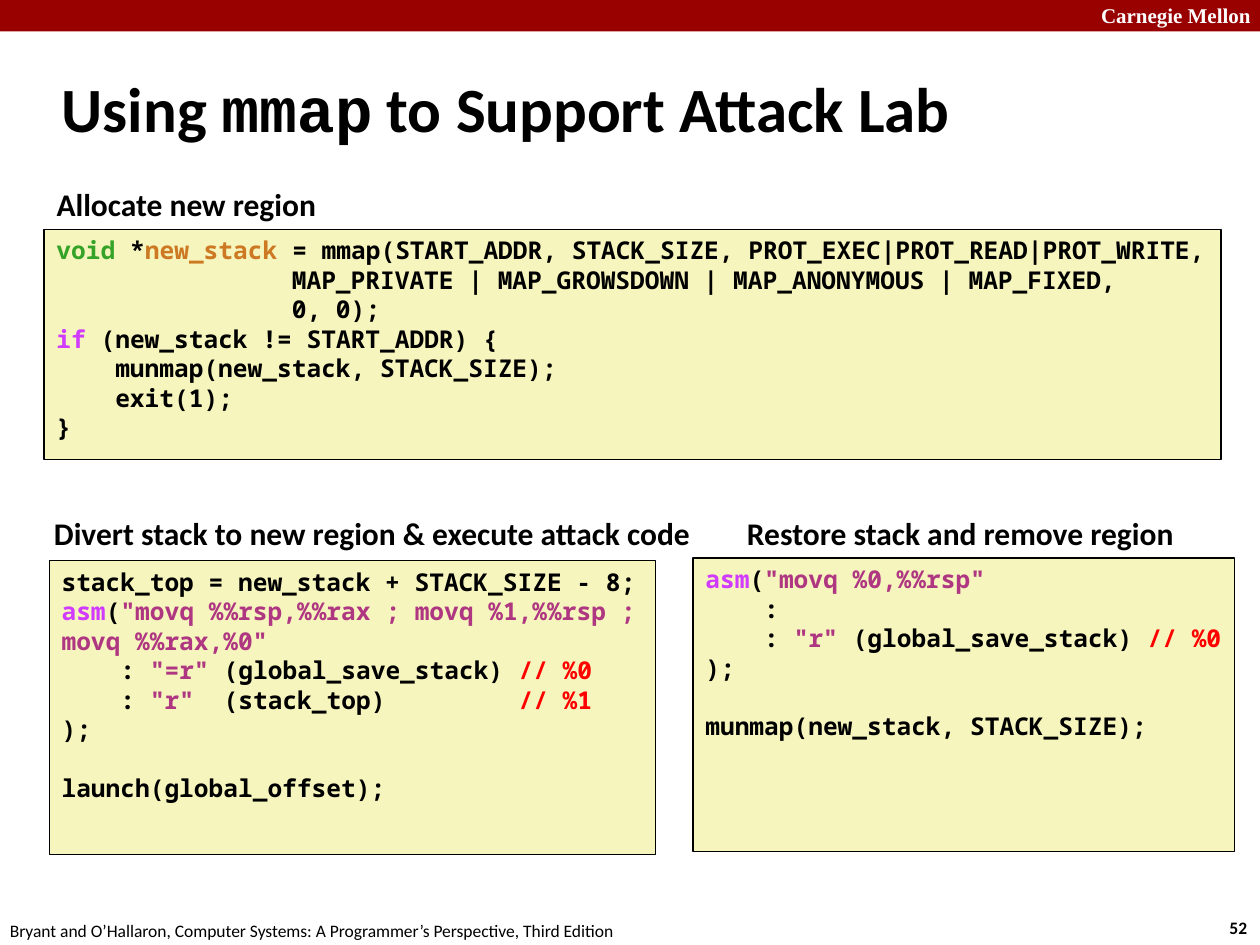
from pptx import Presentation
from pptx import util as u
from pptx.dml.color import RGBColor
from pptx.enum import shapes, text

COLORS = {
    "black": "000000", "white": "FFFFFF", "band": "990000", "panel": "F6F5BD",
    "type": "34A327", "name": "CD7923", "keyword": "D03BFF",
    "string": "AF3782", "comment": "FF0000",
}
SANS, SERIF, MONO, TITLE_MONO = "Calibri", "Times New Roman", "Noto Sans Mono", "Courier New"
COLUMNS, ROWS = 100, 75  # grid laid over the slide


def color(name):
    return RGBColor.from_string(COLORS[name])


class SlideBuilder:
    def __init__(self, deck):
        self.deck = deck
        self.page = deck.slides.add_slide(deck.slide_layouts[5])

    def area(self, left, top, width, height):
        """Turn grid columns and rows into slide lengths."""
        col, row = self.deck.slide_width / COLUMNS, self.deck.slide_height / ROWS
        return [u.Emu(round(n)) for n in (left * col, top * row, width * col, height * row)]

    def style(self, span, size, font, ink="black", bold=True):
        span.font.size, span.font.name, span.font.bold = u.Pt(size), font, bold
        span.font.color.rgb = color(ink)

    def title(self, grid, parts, size=36):
        box = self.page.shapes.title
        box.left, box.top, box.width, box.height = self.area(*grid)
        frame = box.text_frame
        frame.auto_size = text.MSO_AUTO_SIZE.NONE
        frame.vertical_anchor = text.MSO_ANCHOR.MIDDLE
        para = frame.paragraphs[0]
        para.alignment, para.line_spacing = text.PP_ALIGN.LEFT, 0.82
        for words, font in parts:
            span = para.add_run()
            span.text = words
            self.style(span, size, font)

    def label(self, grid, words, size=18, font=SANS, ink="black", bold=True):
        box = self.page.shapes.add_textbox(*self.area(*grid))
        frame = box.text_frame
        frame.word_wrap = False
        frame.text = words
        self.style(frame.paragraphs[0].runs[0], size, font, ink, bold)

    def panel(self, grid, fill, line=None):
        box = self.page.shapes.add_shape(shapes.MSO_SHAPE.RECTANGLE, *self.area(*grid))
        box.shadow.inherit = False
        box.fill.solid()
        box.fill.fore_color.rgb = color(fill)
        if line:
            box.line.color.rgb = color(line)
            box.line.width = u.Pt(0.75)
        else:
            box.line.fill.background()
        return box

    def code(self, grid, lines):
        """Each line is a list of plain strings and (string, color) pairs."""
        frame = self.panel(grid, "panel", "black").text_frame
        frame.word_wrap = True
        frame.vertical_anchor = text.MSO_ANCHOR.TOP
        for number, line in enumerate(lines):
            para = frame.add_paragraph() if number else frame.paragraphs[0]
            para.alignment = text.PP_ALIGN.LEFT
            para.font.size, para.font.name = u.Pt(14), MONO
            for part in line:
                words, ink = (part, "black") if isinstance(part, str) else part
                span = para.add_run()
                span.text = words
                self.style(span, 14, MONO, ink)


ALLOCATE = [
    [("void", "type"), " *", ("new_stack", "name"),
     " = mmap(START_ADDR, STACK_SIZE, PROT_EXEC|PROT_READ|PROT_WRITE,"],
    ["                MAP_PRIVATE | MAP_GROWSDOWN | MAP_ANONYMOUS | MAP_FIXED,"],
    ["                0, 0);"],
    [("if", "keyword"), " (new_stack != START_ADDR) {"],
    ["    munmap(new_stack, STACK_SIZE);"],
    ["    exit(1);"],
    ["}"],
]
DIVERT = [
    ["stack_top = new_stack + STACK_SIZE - 8;"],
    [("asm", "keyword"), "(",
     ('"movq %%rsp,%%rax ; movq %1,%%rsp ; movq %%rax,%0"', "string")],
    ["    : ", ('"=r"', "string"), " (global_save_stack) ", ("// %0", "comment")],
    ["    : ", ('"r"', "string"), "  (stack_top)         ", ("// %1", "comment")],
    [");"],
    [],
    ["launch(global_offset);"],
]
RESTORE = [
    [("asm", "keyword"), "(", ('"movq %0,%%rsp"', "string")],
    ["    :"],
    ["    : ", ('"r"', "string"), " (global_save_stack) ", ("// %0", "comment")],
    [");"],
    [],
    ["munmap(new_stack, STACK_SIZE);"],
]


def main():
    deck = Presentation()
    deck.slide_width, deck.slide_height = u.Inches(10), u.Inches(7.5)
    slide = SlideBuilder(deck)

    # Header band and footer
    slide.panel((0, 0, COLUMNS, 2.5), "band")
    slide.label((86.4, -0.3, 14.3, 3), "Carnegie Mellon", 12, SERIF, "white")
    slide.label((96.6, 72.3, 3.7, 2.7), "52", 10)
    slide.label((-0.2, 72.5, 50.8, 2.7),
                "Bryant and O’Hallaron, Computer Systems: A Programmer’s Perspective, Third Edition",
                10, bold=False)

    # Title
    slide.title((3.9, 4.9, 83, 8.3),
                [("Using ", SANS), ("mmap", TITLE_MONO), (" to Support Attack Lab", SANS)])

    # Code panels
    slide.code((3.9, 44.5, 48.1, 23.3), DIVERT)
    slide.code((3.5, 18.2, 93.4, 18.3), ALLOCATE)
    slide.code((55, 44.3, 43, 23.3), RESTORE)

    # Panel headings
    slide.label((3.5, 14.2, 22.8, 4), "Allocate new region")
    slide.label((3.3, 40.3, 53, 4), "Divert stack to new region & execute attack code")
    slide.label((58.3, 40.3, 36.1, 4), "Restore stack and remove region")

    deck.save("out.pptx")


if __name__ == "__main__":
    main()
